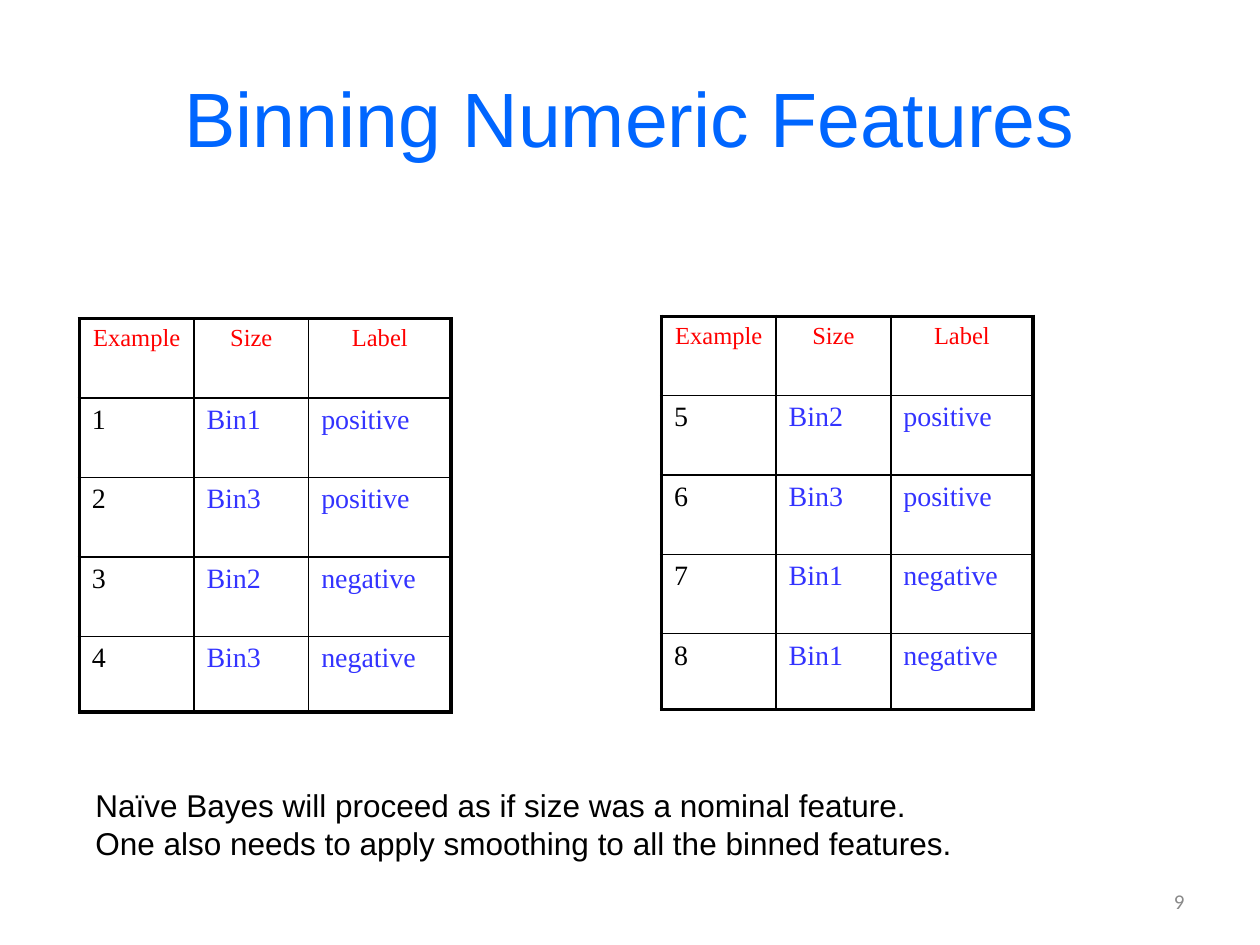
from lxml.etree import SubElement
from pptx import Presentation
from pptx.dml.color import RGBColor
from pptx.enum.text import MSO_ANCHOR, MSO_AUTO_SIZE, PP_ALIGN
from pptx.oxml.ns import qn
from pptx.util import Inches, Pt

COLORS = {
    "title": "0066FF",
    "header": "FF0000",
    "value": "3333FF",
    "text": "000000",
    "number": "898989",
    "border": "000000",
}
TITLE = {"name": "Arial", "size": Pt(44), "color": "title"}
NOTE = {"name": "Arial", "size": Pt(18), "color": "text"}
NUMBER = {"name": "Calibri", "size": Pt(12), "color": "number"}
HEADER = {"name": "Times New Roman", "size": Pt(14), "color": "header"}
EXAMPLE = {"name": "Times New Roman", "size": Pt(16), "color": "text"}
VALUE = {**EXAMPLE, "color": "value"}

OUTER, INNER = Pt(2.25), Pt(1)
COLUMN_WIDTHS = (0.91, 0.91, 1.13)
ROW_HEIGHTS = (0.63, 0.63, 0.63, 0.63, 0.6)
HEADINGS = ("Example", "Size", "Label")
LEFT_EXAMPLES = [
    ("1", "Bin1", "positive"),
    ("2", "Bin3", "positive"),
    ("3", "Bin2", "negative"),
    ("4", "Bin3", "negative"),
]
RIGHT_EXAMPLES = [
    ("5", "Bin2", "positive"),
    ("6", "Bin3", "positive"),
    ("7", "Bin1", "negative"),
    ("8", "Bin1", "negative"),
]


def write_para(para, text, style, align=PP_ALIGN.LEFT):
    para.alignment = align
    span = para.add_run()
    span.text = text
    for key, value in style.items():
        if key == "color":
            span.font.color.rgb = RGBColor.from_string(COLORS[value])
        else:
            setattr(span.font, key, value)


def add_text(page, box, lines, style, align=PP_ALIGN.LEFT,
             anchor=MSO_ANCHOR.TOP, wrap=True):
    frame = page.shapes.add_textbox(*map(Inches, box)).text_frame
    frame.word_wrap = wrap
    frame.vertical_anchor = anchor
    frame.auto_size = MSO_AUTO_SIZE.NONE if wrap else MSO_AUTO_SIZE.SHAPE_TO_FIT_TEXT
    for index, line in enumerate(lines):
        para = frame.add_paragraph() if index else frame.paragraphs[0]
        write_para(para, line, style, align)


def set_borders(cell, widths):
    """Draw the cell edges; widths maps L, R, T and B, in that order."""
    properties = cell._tc.get_or_add_tcPr()
    for side, width in widths.items():
        line = SubElement(properties, qn(f"a:ln{side}"), w=str(width))
        fill = SubElement(line, qn("a:solidFill"))
        SubElement(fill, qn("a:srgbClr"), val=COLORS["border"])


def add_example_table(page, left, top, examples):
    rows = [HEADINGS, *examples]
    last_row, last_column = len(rows) - 1, len(HEADINGS) - 1
    table = page.shapes.add_table(
        len(rows), len(HEADINGS), Inches(left), Inches(top),
        Inches(sum(COLUMN_WIDTHS)), Inches(sum(ROW_HEIGHTS))).table
    table.first_row = table.horz_banding = False
    for column, width in zip(table.columns, COLUMN_WIDTHS):
        column.width = Inches(width)
    for row, height in zip(table.rows, ROW_HEIGHTS):
        row.height = Inches(height)

    for r, texts in enumerate(rows):
        for c, text in enumerate(texts):
            cell = table.cell(r, c)
            set_borders(cell, {
                "L": OUTER if c == 0 else INNER,
                "R": OUTER if c == last_column else INNER,
                "T": OUTER if r == 0 else INNER,
                "B": OUTER if r == last_row else INNER,
            })
            cell.fill.background()
            style = HEADER if r == 0 else EXAMPLE if c == 0 else VALUE
            align = PP_ALIGN.CENTER if r == 0 else PP_ALIGN.LEFT
            write_para(cell.text_frame.paragraphs[0], text, style, align)


def main():
    deck = Presentation()
    deck.slide_width, deck.slide_height = Inches(10), Inches(7.5)
    page = deck.slides.add_slide(deck.slide_layouts[6])
    add_text(page, (0.5, 0.3, 9, 1.25), ["Binning Numeric Features"], TITLE,
             PP_ALIGN.CENTER, MSO_ANCHOR.MIDDLE)
    add_text(page, (7.17, 6.95, 2.33, 0.4), ["9"], NUMBER,
             PP_ALIGN.RIGHT, MSO_ANCHOR.MIDDLE)
    add_example_table(page, 0.63, 2.53, LEFT_EXAMPLES)
    add_example_table(page, 5.25, 2.51, RIGHT_EXAMPLES)
    add_text(page, (0.66, 6.19, 7.06, 0.71), [
        "Naïve Bayes will proceed as if size was a nominal feature.",
        "One also needs to apply smoothing to all the binned features.",
    ], NOTE, wrap=False)
    deck.save("out.pptx")


if __name__ == "__main__":
    main()
